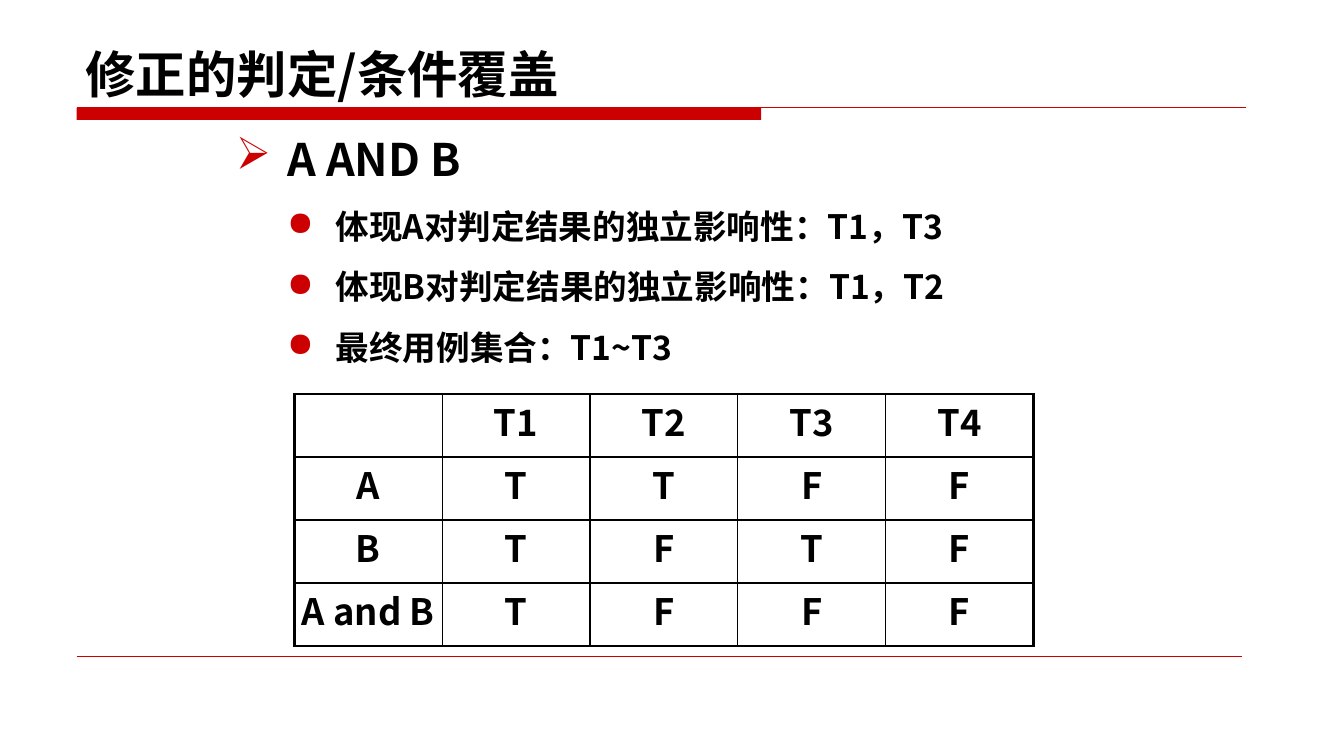
from lxml import etree
from pptx import Presentation
from pptx import util as u
from pptx.dml.color import RGBColor
from pptx.enum import shapes, text
from pptx.oxml.ns import qn

FONT = "Noto Sans CJK SC"
BULLET_FONT = "OpenSymbol"
COLORS = {"red": "CC0000", "black": "000000", "white": "FFFFFF"}
TITLE = "修正的判定/条件覆盖"
# text, level
BODY = [
    ("A AND B", 0),
    ("体现A对判定结果的独立影响性：T1，T3", 1),
    ("体现B对判定结果的独立影响性：T1，T2", 1),
    ("最终用例集合：T1~T3", 1),
]
# size, bullet, left margin, hanging indent
LEVELS = [(32, "➢", 0.51, 0.51), (24, "●", 0.99, 0.48)]
TRUTH_TABLE = [
    ["", "T1", "T2", "T3", "T4"],
    ["A", "T", "T", "F", "F"],
    ["B", "T", "F", "T", "F"],
    ["A and B", "T", "F", "F", "F"],
]
TABLE_BOX = (2.92, 3.91, 7.33, 2.5)
THIN, THICK = 1, 2.25


def rgb(name):
    return RGBColor.from_string(COLORS[name])


def add(parent, tag, **attrs):
    return etree.SubElement(parent, qn(tag), {k: str(v) for k, v in attrs.items()})


def add_run(p, content, size):
    r = p.add_run()
    r.text = content
    for name, value in {"name": FONT, "size": u.Pt(size), "bold": True}.items():
        setattr(r.font, name, value)
    r.font.color.rgb = rgb("black")
    add(r.font._element, "a:ea", typeface=FONT)


def add_text_box(s, box, anchor):
    tf = s.shapes.add_textbox(*map(u.Inches, box)).text_frame
    tf.word_wrap = True
    tf.vertical_anchor = anchor
    return tf


def add_bullet(p, char, left, hanging):
    pPr = p._p.get_or_add_pPr()
    pPr.set("marL", str(u.Inches(left)))
    pPr.set("indent", str(-u.Inches(hanging)))
    add(add(pPr, "a:buClr"), "a:srgbClr", val=COLORS["red"])
    add(pPr, "a:buFont", typeface=BULLET_FONT)
    add(pPr, "a:buChar", char=char)


def add_rule(s, left, right, y, width):
    line = s.shapes.add_connector(
        shapes.MSO_CONNECTOR.STRAIGHT, *map(u.Inches, (left, y, right, y)))
    line.line.color.rgb = rgb("red")
    line.line.width = u.Pt(width)
    add(line._element.spPr, "a:effectLst")


def set_borders(cell, widths):
    tcPr = cell._tc.get_or_add_tcPr()
    for i, (side, width) in enumerate(widths.items()):
        ln = etree.Element(qn(f"a:ln{side}"), w=str(u.Pt(width)))
        add(add(ln, "a:solidFill"), "a:srgbClr", val=COLORS["black"])
        tcPr.insert(i, ln)


def add_truth_table(s):
    rows, cols = len(TRUTH_TABLE), len(TRUTH_TABLE[0])
    table = s.shapes.add_table(rows, cols, *map(u.Inches, TABLE_BOX)).table
    table.first_row = table.horz_banding = False
    for col in table.columns:
        col.width = u.Inches(TABLE_BOX[2] / cols)
    for row in table.rows:
        row.height = u.Inches(TABLE_BOX[3] / rows)
    for i, values in enumerate(TRUTH_TABLE):
        for j, value in enumerate(values):
            cell = table.cell(i, j)
            for side in ("left", "top", "right", "bottom"):
                setattr(cell, f"margin_{side}", 0)
            cell.fill.solid()
            cell.fill.fore_color.rgb = rgb("white")
            outer = {"L": j == 0, "R": j == cols - 1, "T": i == 0, "B": i == rows - 1}
            set_borders(cell, {k: THICK if v else THIN for k, v in outer.items()})
            p = cell.text_frame.paragraphs[0]
            p.alignment = text.PP_ALIGN.CENTER
            if value:
                add_run(p, value, 26)


def main():
    prs = Presentation()
    prs.slide_width, prs.slide_height = u.Inches(13.33), u.Inches(7.5)
    s = prs.slides.add_slide(prs.slide_layouts[6])

    bar = s.shapes.add_shape(
        shapes.MSO_SHAPE.RECTANGLE, *map(u.Inches, (0.76, 1.07, 6.79, 0.12)))
    bar.shadow.inherit = False
    bar.fill.solid()
    bar.fill.fore_color.rgb = rgb("red")
    bar.line.fill.background()
    add_rule(s, 0.76, 12.36, 1.07, 0.75)
    add_rule(s, 0.76, 12.32, 6.51, 0.25)

    tf = add_text_box(s, (0.75, 0.29, 11.67, 0.79), text.MSO_ANCHOR.BOTTOM)
    add_run(tf.paragraphs[0], TITLE, 36)

    tf = add_text_box(s, (2.24, 0.99, 8.75, 4.67), text.MSO_ANCHOR.TOP)
    for i, (content, level) in enumerate(BODY):
        size, char, left, hanging = LEVELS[level]
        p = tf.add_paragraph() if i else tf.paragraphs[0]
        formats = {"level": level, "alignment": text.PP_ALIGN.JUSTIFY,
                   "line_spacing": 1.5}
        for name, value in formats.items():
            setattr(p, name, value)
        add_bullet(p, char, left, hanging)
        add_run(p, content, size)

    add_truth_table(s)
    prs.save("out.pptx")


if __name__ == "__main__":
    main()
